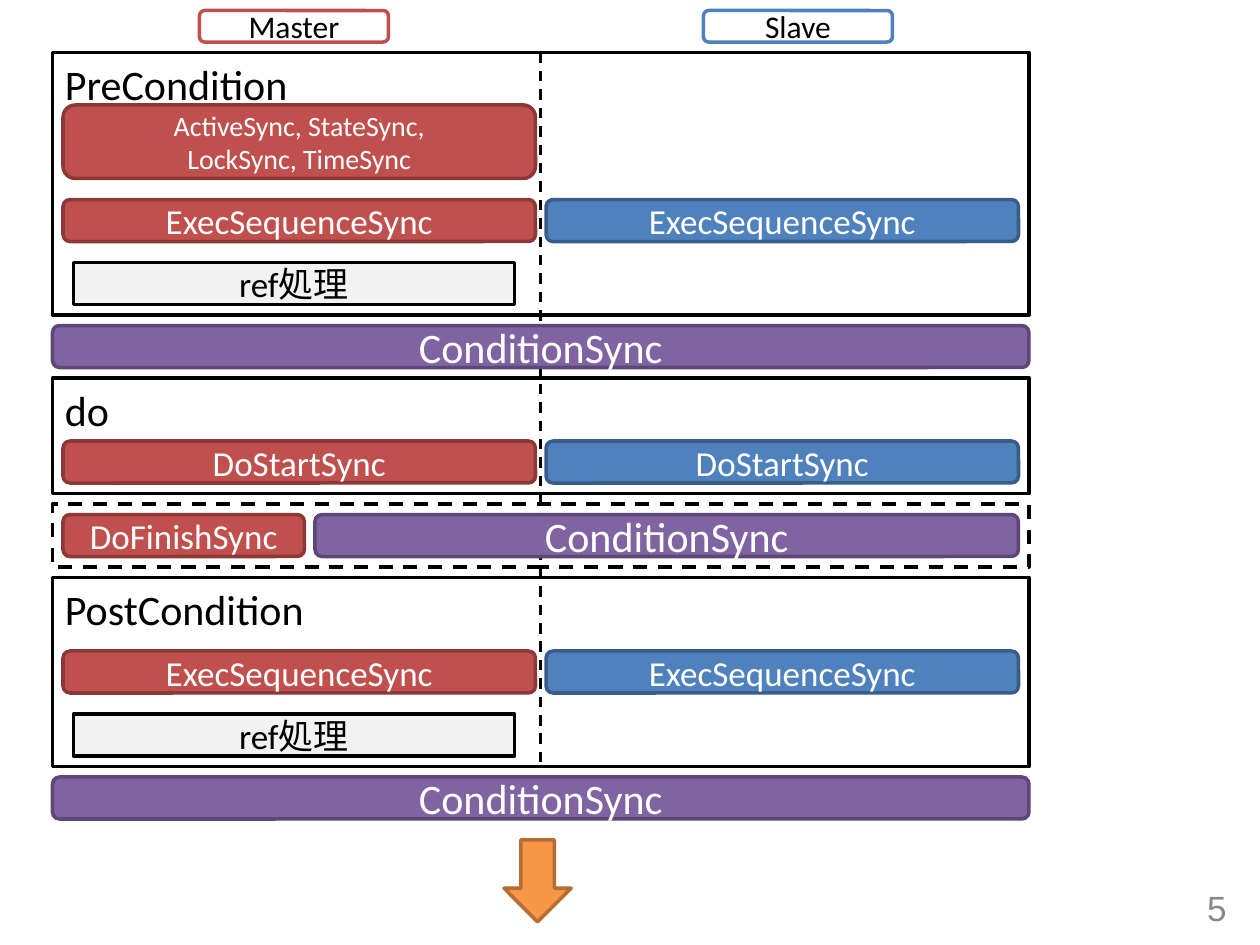
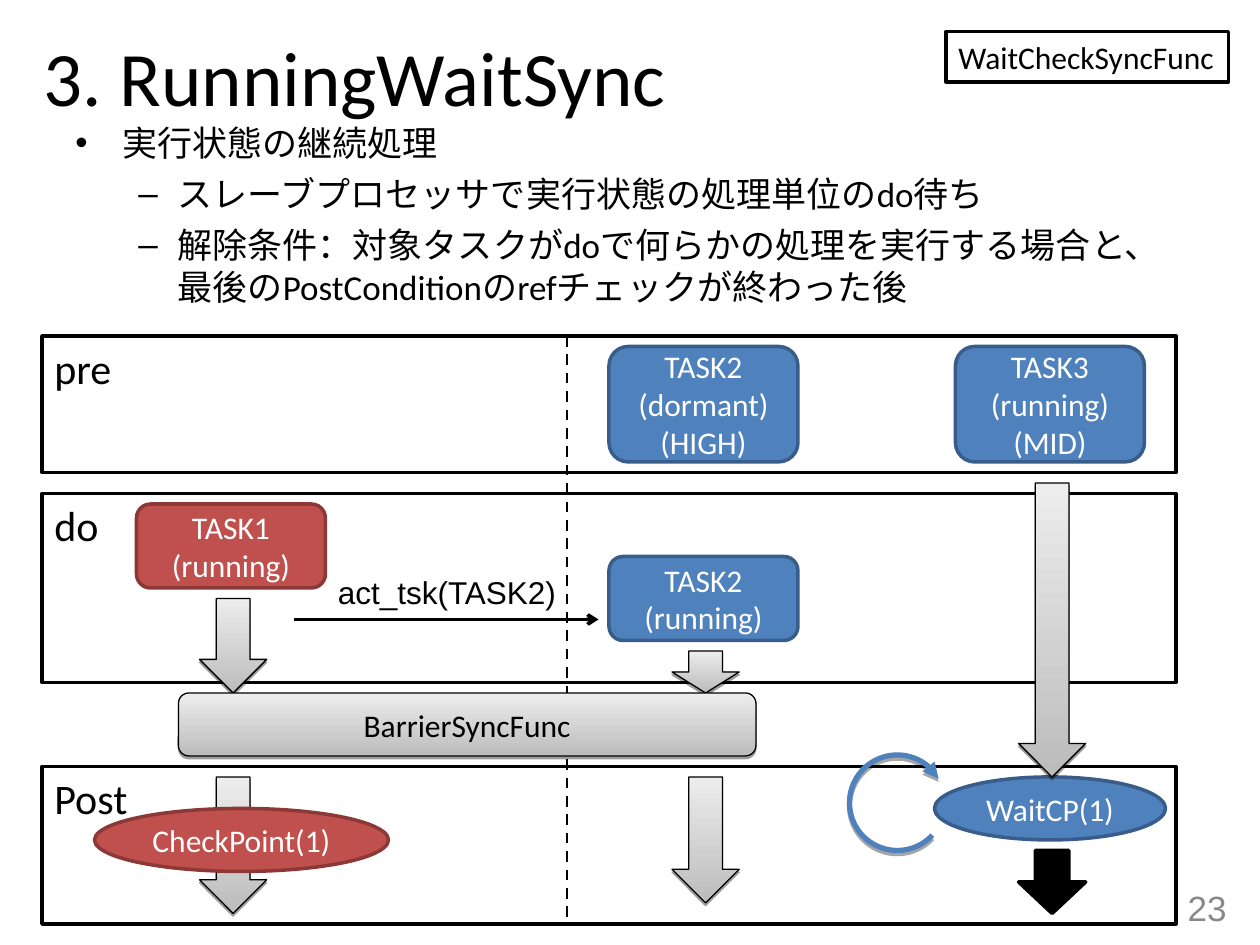
import pptx
import pptx.dml.color
import pptx.enum.dml
import pptx.enum.shapes
import pptx.enum.text
import pptx.oxml
import pptx.oxml.ns
import pptx.util

SHAPE = pptx.enum.shapes.MSO_SHAPE
ALIGN = pptx.enum.text.PP_ALIGN
ANCHOR = pptx.enum.text.MSO_ANCHOR

# Each look is a fill, a line colour and a font colour
RED = ("C0504D", "8C3836", "FFFFFF")
BLUE = ("4F81BD", "385D8A", "FFFFFF")
PURPLE = ("8064A2", "5C4776", "FFFFFF")
ORANGE = ("F79646", "B66D31", "FFFFFF")
WHITE = ("FFFFFF", "000000", "000000")
PALE = ("F2F2F2", "000000", "000000")
BLACK = ("000000", "000000", "FFFFFF")
RED_OUTLINE = ("FFFFFF", "C0504D", "000000")
BLUE_OUTLINE = ("FFFFFF", "4F81BD", "000000")
HOLLOW = (None, "000000", "000000")
METAL = (("BCBCBC", "EDEDED"), "000000", "000000")


def grid(units):
    """Every place on the slides is counted in twelfths of an inch."""
    return pptx.util.Cm(units * 2.54 / 12)


def rgb(value):
    return pptx.dml.color.RGBColor.from_string(value)


def add_xml(parent, tag, attributes="", inner=""):
    parent.append(pptx.oxml.parse_xml(
        f'<a:{tag} {pptx.oxml.ns.nsdecls("a")} {attributes}>{inner}</a:{tag}>'))


def write(frame, text, size=18, font="Calibri", color="000000",
          align=ALIGN.LEFT, anchor=ANCHOR.TOP, wrap=True, bullets=None):
    """Fill a text frame, one paragraph for each line of text."""
    frame.word_wrap = wrap
    frame.vertical_anchor = anchor
    for index, line in enumerate(text.split("\n")):
        paragraph = frame.paragraphs[0] if index == 0 else frame.add_paragraph()
        paragraph.alignment = align
        if bullets:
            mark, margin, indent, level = bullets[index]
            paragraph.level = level
            if index:
                paragraph.space_before = pptx.util.Pt(5)
            properties = paragraph._p.get_or_add_pPr()
            properties.set("marL", str(pptx.util.Cm(margin)))
            properties.set("indent", str(pptx.util.Cm(indent)))
            add_xml(properties, "buClr", inner=f'<a:srgbClr val="{color}"/>')
            add_xml(properties, "buFont", 'typeface="Arial"')
            add_xml(properties, "buChar", f'char="{mark}"')
        run = paragraph.add_run()
        run.text = line
        run.font.size = pptx.util.Pt(size)
        run.font.name = font
        run.font.color.rgb = rgb(color)


class Deck:
    def __init__(self):
        self.presentation = pptx.Presentation()
        self.presentation.slide_width = grid(120)
        self.presentation.slide_height = grid(90)
        self.slide = None

    def new_slide(self):
        self.slide = self.presentation.slides.add_slide(
            self.presentation.slide_layouts[6])

    def text(self, place, text, **style):
        box = self.slide.shapes.add_textbox(*map(grid, place))
        write(box.text_frame, text, **style)

    def page_number(self, number):
        self.text((90, 84, 28, 4.8), number, size=20, font="Arial",
                  color="898989", align=ALIGN.RIGHT, anchor=ANCHOR.MIDDLE)

    def shape(self, kind, place, look, text="", width=2, dashed=False, **style):
        fill, line, ink = look
        shape = self.slide.shapes.add_shape(kind, *map(grid, place))
        shape.shadow.inherit = False
        if fill is None:
            shape.fill.background()
        elif look is METAL:
            shape.fill.gradient()
            shape.fill.gradient_angle = 90
            for stop, shade in zip(shape.fill.gradient_stops, fill):
                stop.color.rgb = rgb(shade)
            width = 0.75
            self.drop_shadow(shape, 38, 1.6)
        else:
            shape.fill.solid()
            shape.fill.fore_color.rgb = rgb(fill)
        shape.line.color.rgb = rgb(line)
        shape.line.width = pptx.util.Pt(width)
        if dashed:
            shape.line.dash_style = pptx.enum.dml.MSO_LINE.DASH
        if text:
            write(shape.text_frame, text, **{
                "color": ink, "align": ALIGN.CENTER,
                "anchor": ANCHOR.MIDDLE, **style})
        return shape

    def drop_shadow(self, shape, opacity, distance):
        effects = shape._element.spPr.find(pptx.oxml.ns.qn("a:effectLst"))
        add_xml(effects, "outerShdw",
                f'dist="{pptx.util.Pt(distance)}" dir="5400000" rotWithShape="0"',
                f'<a:srgbClr val="000000"><a:alpha val="{opacity * 1000}"/></a:srgbClr>')

    def box(self, place, look, text, **style):
        self.shape(SHAPE.ROUNDED_RECTANGLE, place, look, text, **style)

    def panel(self, place, text):
        """A framed phase with its name at the top left."""
        self.shape(SHAPE.RECTANGLE, place, WHITE, text, size=24,
                   align=ALIGN.LEFT, anchor=ANCHOR.TOP)

    def oval(self, place, look, text):
        self.shape(SHAPE.OVAL, place, look, text)

    def down_arrow(self, left, top, height, look=METAL):
        self.shape(SHAPE.DOWN_ARROW, (left, top, 6.4, height), look)

    def loop_arrow(self, place):
        loop = self.shape(SHAPE.ARC, place, (None, "4F81BD", "000000"), width=3)
        loop.rotation = 132.9
        # Arc angles are stored in 60000ths of a degree, adjustments in 100000ths
        loop.adjustments[0] = 270 * 0.6
        loop.adjustments[1] = 197 * 0.6
        add_xml(loop.line._get_or_add_ln(), "tailEnd", 'type="triangle"')
        self.drop_shadow(loop, 35, 1.8)

    def line(self, start, end, width=1.5, dashed=False, arrow=False):
        line = self.slide.shapes.add_connector(
            pptx.enum.shapes.MSO_CONNECTOR.STRAIGHT, *map(grid, start + end))
        line.line.color.rgb = rgb("000000")
        line.line.width = pptx.util.Pt(width)
        if dashed:
            line.line.dash_style = pptx.enum.dml.MSO_LINE.DASH
        if arrow:
            add_xml(line.line._get_or_add_ln(), "tailEnd", 'type="arrow"')
        add_xml(line._element.spPr, "effectLst")


def build_condition_flow(deck):
    deck.new_slide()
    deck.page_number("5")

    # Processors
    deck.box((19, 1, 18, 3), RED_OUTLINE, "Master")
    deck.box((67, 1, 18, 3), BLUE_OUTLINE, "Slave")

    # Phases
    for top, height, phase in ((5, 25, "PreCondition"), (36, 11, "do"),
                               (55, 18, "PostCondition")):
        deck.panel((5, top, 93, height), phase)
    deck.shape(SHAPE.RECTANGLE, (5, 48, 93, 6), HOLLOW, dashed=True)

    # Steps within the phases
    deck.box((6, 10, 45, 7), RED, "ActiveSync, StateSync,\nLockSync, TimeSync", size=16)
    for top, step in ((19, "ExecSequenceSync"), (42, "DoStartSync"),
                      (62, "ExecSequenceSync")):
        for left, look in ((6, RED), (52, BLUE)):
            deck.box((left, top, 45, 4), look, step, size=20)
    for top in (25, 68):
        deck.shape(SHAPE.RECTANGLE, (7, top, 42, 4), PALE, "ref処理", size=20)
    deck.box((6, 49, 23, 4), RED, "DoFinishSync", size=20)

    # Border between processors, crossed by the shared steps
    deck.line((51.5, 5), (51.5, 73), dashed=True)
    for left, top, width in ((5, 31, 93), (30, 49, 67), (5, 74, 93)):
        deck.box((left, top, width, 4), PURPLE, "ConditionSync", size=24)
    deck.down_arrow(48, 80, 7.8, ORANGE)


def build_running_wait(deck):
    deck.new_slide()

    # Heading and explanation
    deck.text((3, 2, 108, 10.4), "3. RunningWaitSync", size=44, anchor=ANCHOR.MIDDLE)
    dash = ("–", 2.06, -0.79, 1)
    deck.text((6, 11, 107, 23),
              "実行状態の継続処理\n"
              "スレーブプロセッサで実行状態の処理単位のdo待ち\n"
              "解除条件：対象タスクがdoで何らかの処理を実行する場合と、"
              "最後のPostConditionのrefチェックが終わった後",
              size=20, bullets=[("•", 0.95, -0.95, 0), dash, dash])
    deck.shape(SHAPE.RECTANGLE, (90.1, 3, 26.9, 4.8), WHITE, "WaitCheckSyncFunc",
               align=ALIGN.LEFT, anchor=ANCHOR.TOP, wrap=False)

    # Phases
    for top, height, phase in ((32, 13, "pre"), (47, 18, "do"), (73, 15, "Post")):
        deck.panel((4, top, 108, height), phase)
    deck.page_number("23")

    # Tasks
    for left, top, height, look, task in (
            (58, 33, 11, BLUE, "TASK2\n(dormant)\n(HIGH)"),
            (91, 33, 11, BLUE, "TASK3\n(running)\n(MID)"),
            (13, 48, 8, RED, "TASK1\n(running)"),
            (58, 53, 8, BLUE, "TASK2\n(running)")):
        deck.box((left, top, 18, height), look, task)

    # Progress of each task
    for left, top, height in ((19, 57, 9), (64, 62, 4), (19, 74, 13), (64, 74, 12)):
        deck.down_arrow(left, top, height)
    deck.oval((9, 77, 28, 6), RED, "CheckPoint(1)")
    deck.oval((89, 74, 22, 6), BLUE, "WaitCP(1)")
    deck.down_arrow(97, 46, 28)
    deck.down_arrow(97, 81, 6, BLACK)
    deck.loop_arrow((80.9, 71.9, 9.1, 9.1))

    # Activation call, processor border and barrier
    deck.line((28, 59), (57, 59), width=2, arrow=True)
    deck.text((31, 54, 23.4, 4.8), "act_tsk(TASK2)", font="Arial", wrap=False)
    deck.line((54, 32), (54, 88), dashed=True)
    deck.box((17, 66, 55, 6), METAL, "BarrierSyncFunc")


def main():
    deck = Deck()
    build_condition_flow(deck)
    build_running_wait(deck)
    deck.presentation.save("out.pptx")


if __name__ == "__main__":
    main()
